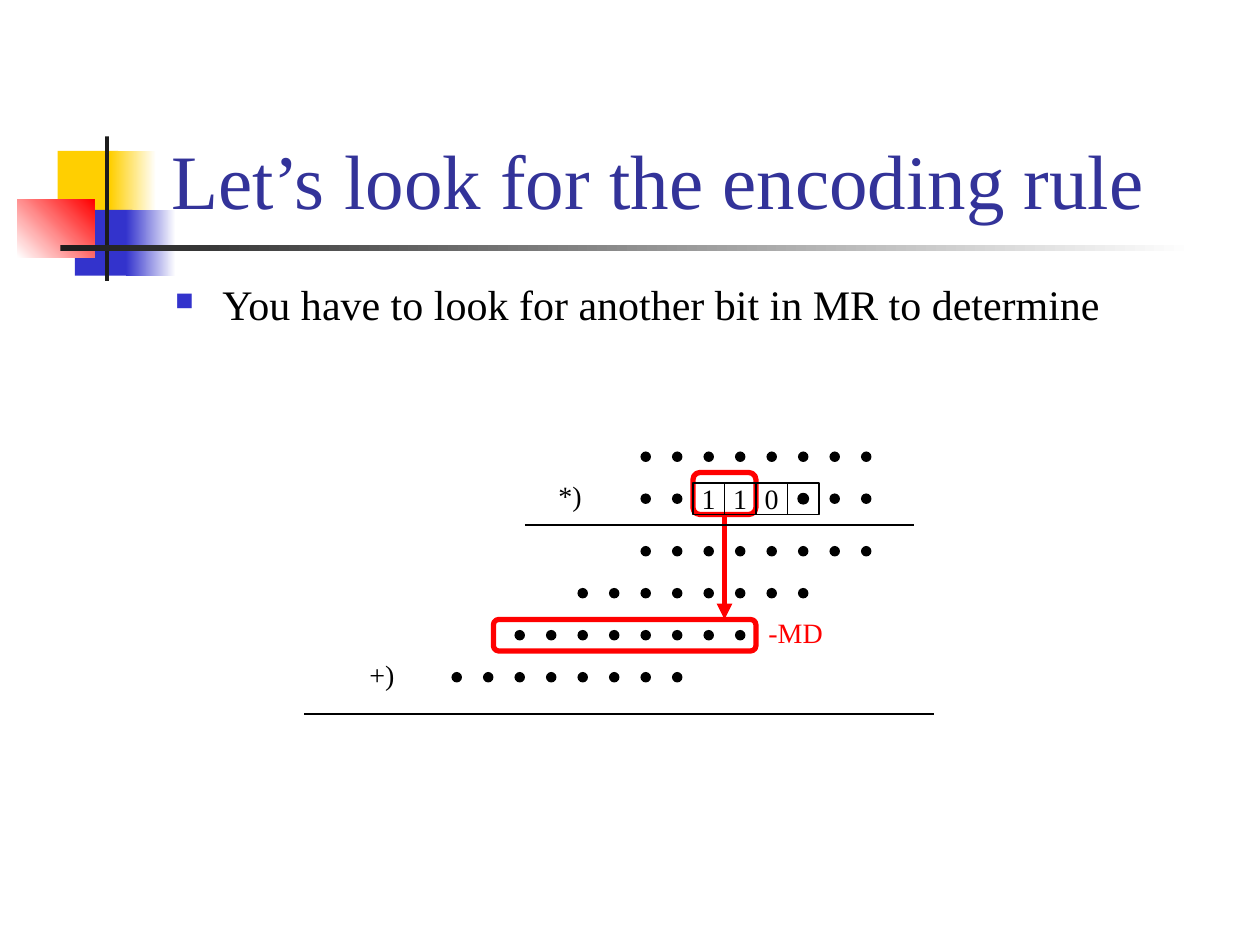
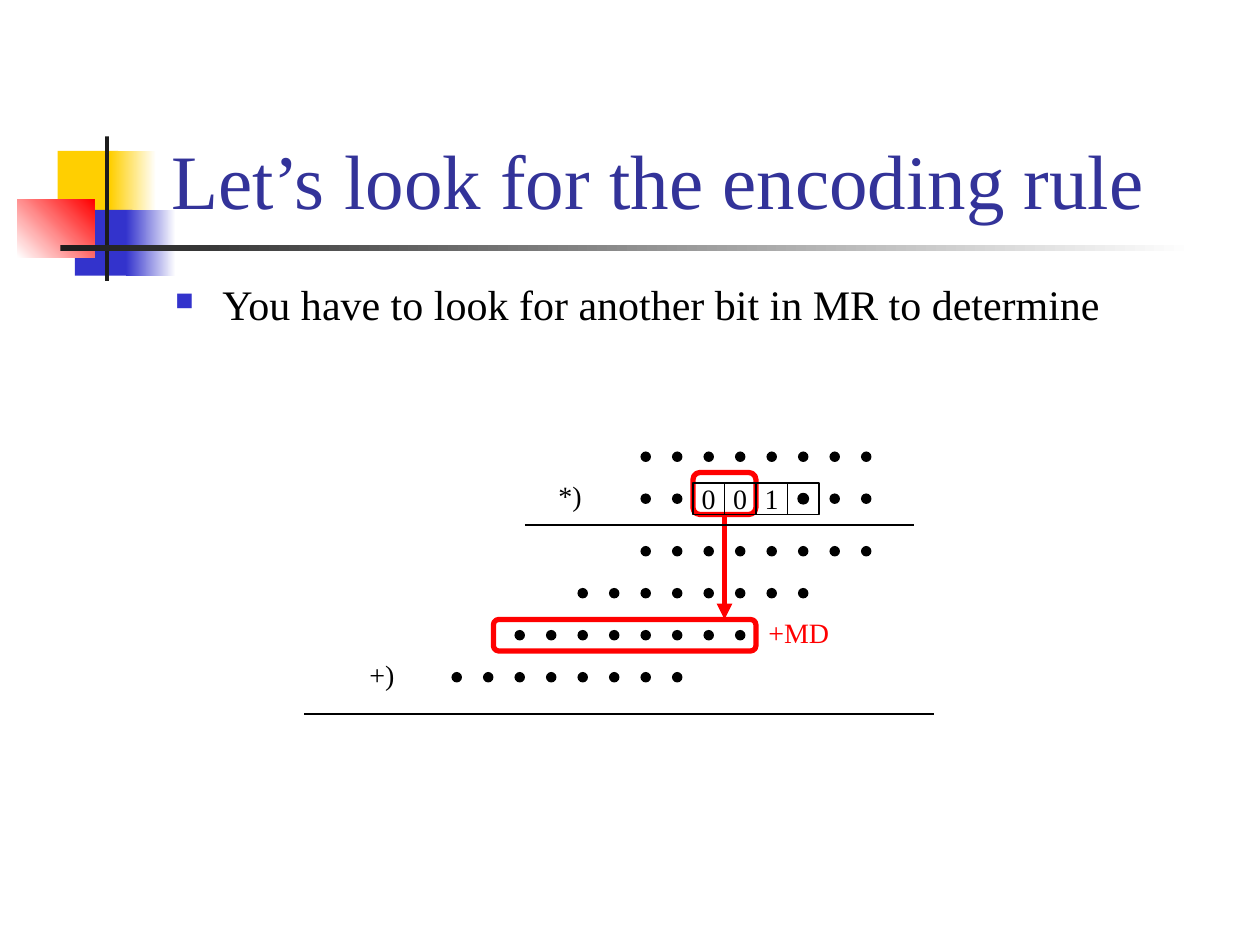
from lxml import etree
from pptx import Presentation
from pptx.dml.color import RGBColor
from pptx.enum.shapes import MSO_CONNECTOR, MSO_SHAPE
from pptx.enum.text import MSO_ANCHOR, MSO_AUTO_SIZE, PP_ALIGN
from pptx.oxml import parse_xml
from pptx.oxml.ns import nsdecls, qn
from pptx.util import Pt

PX = 9525
FONT = "Times New Roman"
BLACK, WHITE, RED = "000000", "FFFFFF", "FF0000"
YELLOW, BLUE, CHARCOAL, TITLE_BLUE = "FFCF01", "3333CC", "1C1C1C", "333399"
color = RGBColor.from_string

DOT, PITCH = 8, 24
TITLE = "Let’s look for the encoding rule"
POINT = "You have to look for another bit in MR to determine"
EXAMPLES = [("110", "-MD"), ("001", "+MD")]

DECORATIONS = [
    ((44, 115, 46, 50), [YELLOW], 0),
    ((84, 115, 35, 50), [YELLOW, WHITE], 0),
    ((57, 160, 44, 50), [BLUE], 0),
    ((96, 160, 38, 50), [BLUE, WHITE], 0),
    ((13, 152, 59, 44), [WHITE, RED], 45),
    ((80, 104, 3, 110), [CHARCOAL], 0),
    ((46, 187, 864, 4), [CHARCOAL, WHITE], 0),
]
ALL_BITS = range(8)
DOT_ROWS = [
    (488, 344, ALL_BITS),
    (488, 376, (0, 1, 6, 7)),
    (488, 416, ALL_BITS),
    (440, 448, ALL_BITS),
    (392, 480, ALL_BITS),
    (344, 512, ALL_BITS),
]
HIGHLIGHTS = [(528, 360, 48, 32), (376, 472, 200, 24)]
LINES = [
    ((552, 392, 552, 472), RED, 3),
    ((400, 400, 696, 400), BLACK, 0.75),
    ((232, 544, 712, 544), BLACK, 0.75),
]


def add_figure(slide, kind, box, fills=(), angle=0, line=None, width=0.75):
    figure = slide.shapes.add_shape(kind, *(n * PX for n in box))
    figure.shadow.inherit = False
    if not fills:
        figure.fill.background()
    elif len(fills) == 1:
        figure.fill.solid()
        figure.fill.fore_color.rgb = color(fills[0])
    else:
        figure.fill.gradient()
        figure.fill.gradient_angle = angle
        for stop, shade in zip(figure.fill.gradient_stops, fills):
            stop.color.rgb = color(shade)
    if line:
        figure.line.color.rgb = color(line)
        figure.line.width = Pt(width)
    else:
        figure.line.fill.background()
    return figure


def add_text(slide, box, text, size=16, shade=BLACK, wrap=False, bullet=None):
    frame = slide.shapes.add_textbox(*(n * PX for n in box)).text_frame
    frame.word_wrap = wrap
    frame.auto_size = MSO_AUTO_SIZE.NONE if wrap else MSO_AUTO_SIZE.SHAPE_TO_FIT_TEXT
    paragraph = frame.paragraphs[0]
    paragraph.text = text
    if bullet:
        properties = paragraph._p.get_or_add_pPr()
        properties.set("marL", str(36 * PX))
        properties.set("indent", str(-36 * PX))
        for element in (
            f'<a:buClr {nsdecls("a")}><a:srgbClr val="{BLUE}"/></a:buClr>',
            f'<a:buSzPct {nsdecls("a")} val="60000"/>',
            f'<a:buChar {nsdecls("a")} char="{bullet}"/>',
        ):
            properties.append(parse_xml(element))
        paragraph.line_spacing = 0.9
    paragraph.font.name = FONT
    paragraph.font.size = Pt(size)
    paragraph.font.color.rgb = color(shade)
    return frame


deck = Presentation()
deck.slide_width, deck.slide_height = 960 * PX, 720 * PX

for bits, action in EXAMPLES:
    slide = deck.slides.add_slide(deck.slide_layouts[6])

    for box, fills, angle in DECORATIONS:
        add_figure(slide, MSO_SHAPE.RECTANGLE, box, fills, angle)

    heading = add_text(slide, (121, 22, 818, 154), TITLE, 44, TITLE_BLUE, wrap=True)
    heading.vertical_anchor = MSO_ANCHOR.BOTTOM
    add_text(slide, (124, 212, 816, 68), POINT, 24, wrap=True, bullet="■")

    for box in HIGHLIGHTS:
        highlight = add_figure(slide, MSO_SHAPE.ROUNDED_RECTANGLE, box, line=RED, width=3)
        highlight.adjustments[0] = 0.17

    for ends, shade, width in LINES:
        rule = slide.shapes.add_connector(MSO_CONNECTOR.STRAIGHT, *(n * PX for n in ends))
        rule.line.color.rgb = color(shade)
        rule.line.width = Pt(width)
        if shade == RED:
            etree.SubElement(rule.line._get_or_add_ln(), qn("a:tailEnd"), type="triangle")
        etree.SubElement(rule._element.spPr, qn("a:effectLst"))

    for left, top, columns in DOT_ROWS:
        for column in columns:
            add_figure(slide, MSO_SHAPE.OVAL, (left + column * PITCH, top, DOT, DOT), [BLACK])
    add_figure(slide, MSO_SHAPE.OVAL, (608, 376, DOT, DOT), [BLACK], line=BLACK)

    for position in range(4):
        box = (528 + position * PITCH, 368, PITCH, PITCH)
        cell = add_figure(slide, MSO_SHAPE.RECTANGLE, box, line=BLACK)
        if position < len(bits):
            frame = cell.text_frame
            frame.word_wrap = False
            frame.vertical_anchor = MSO_ANCHOR.MIDDLE
            frame.margin_top = frame.margin_bottom = 0
            digit = frame.paragraphs[0]
            digit.text = bits[position]
            digit.alignment = PP_ALIGN.CENTER
            digit.font.name = FONT
            digit.font.size = Pt(16)
            digit.font.color.rgb = color(BLACK)

    add_text(slide, (416, 360, 37, 35), "*)")
    add_text(slide, (272, 496, 38, 35), "+)")
    add_text(slide, (576, 464, 72, 35), action, shade=RED, wrap=True)

deck.save("out.pptx")
